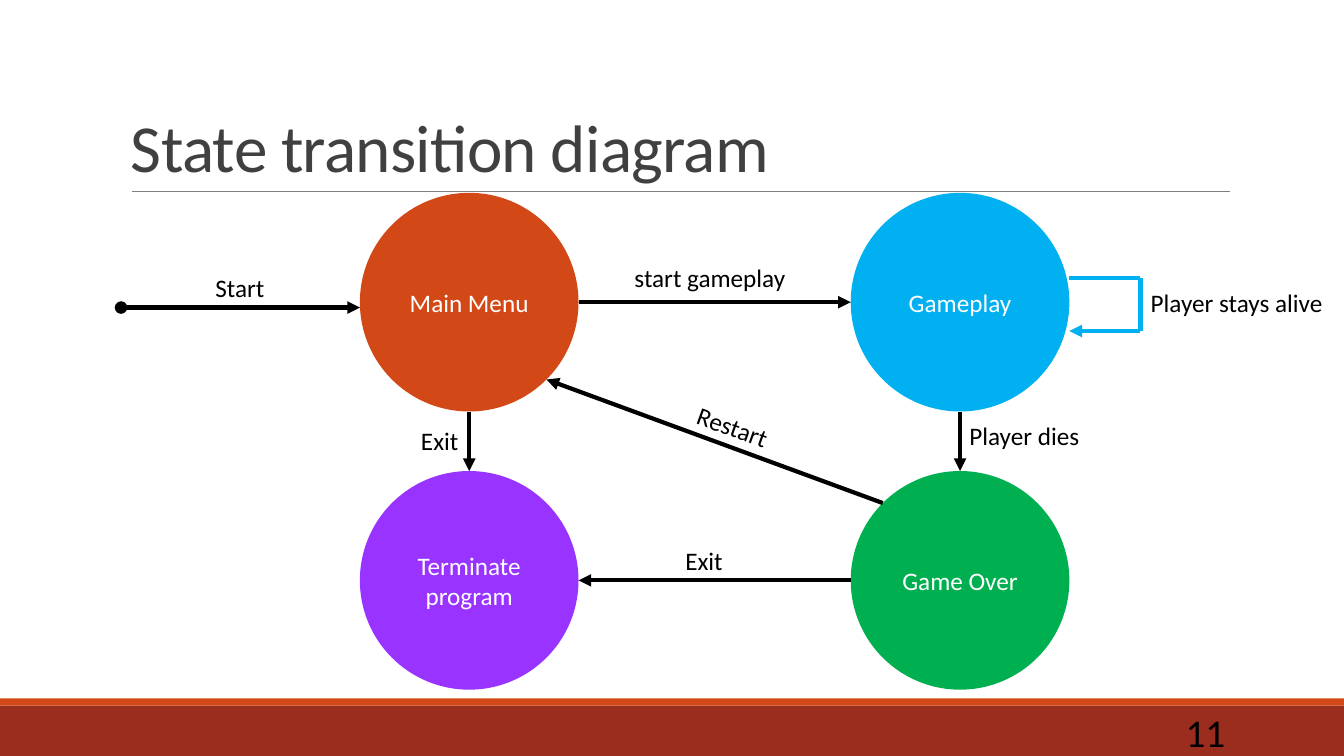
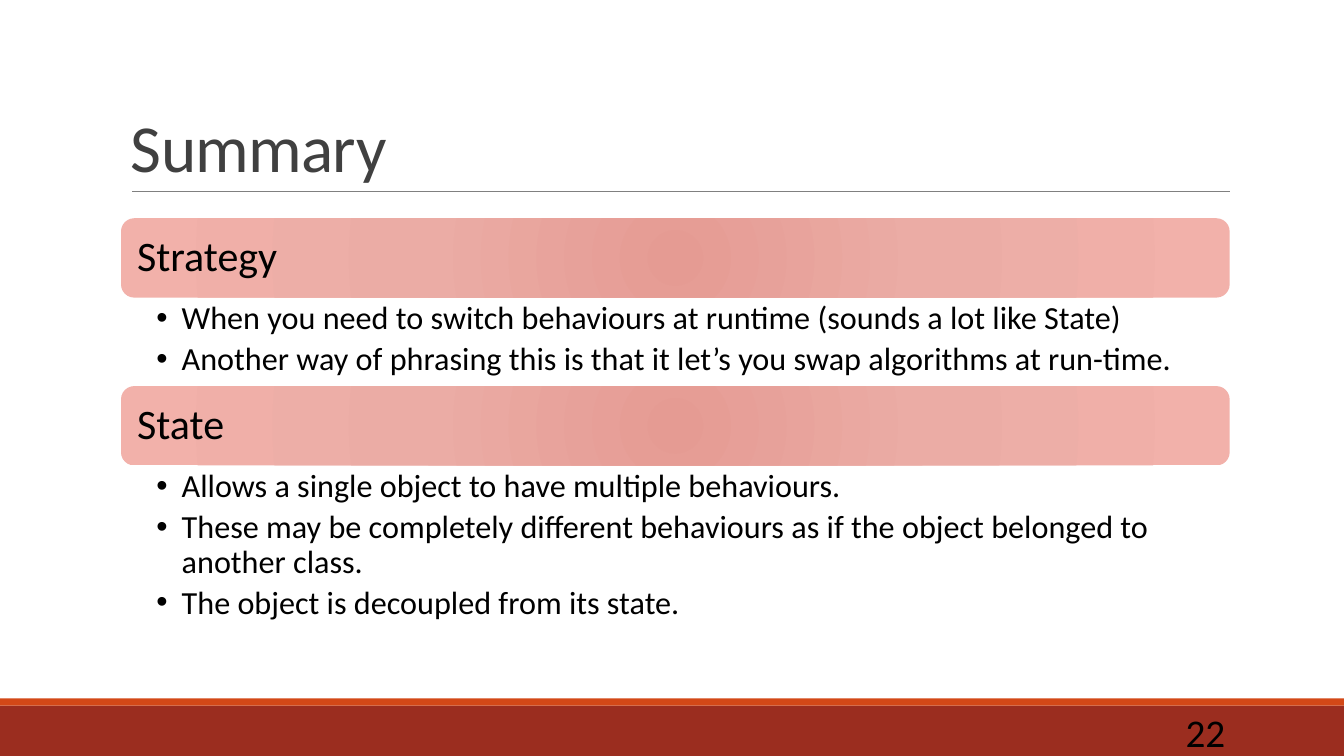
import math
from typing import NamedTuple

from pptx import Presentation
from pptx.dml.color import RGBColor
from pptx.enum.shapes import MSO_CONNECTOR, MSO_SHAPE
from pptx.enum.text import MSO_ANCHOR, MSO_AUTO_SIZE, PP_ALIGN
from pptx.oxml import parse_xml
from pptx.oxml.ns import nsdecls, qn
from pptx.util import Cm, Pt

LEFT, CENTER, RIGHT = PP_ALIGN.LEFT, PP_ALIGN.CENTER, PP_ALIGN.RIGHT
TOP, MIDDLE, BOTTOM = MSO_ANCHOR.TOP, MSO_ANCHOR.MIDDLE, MSO_ANCHOR.BOTTOM
RECTANGLE, ROUNDED, OVAL = MSO_SHAPE.RECTANGLE, MSO_SHAPE.ROUNDED_RECTANGLE, MSO_SHAPE.OVAL
STRAIGHT = MSO_CONNECTOR.STRAIGHT
NO_AUTOFIT = MSO_AUTO_SIZE.NONE

# All positions are in centimetres
SLIDE_WIDTH, SLIDE_HEIGHT = 33.87, 19.05
CONTENT_LEFT, CONTENT_WIDTH = 3.05, 27.94
FONT = "Calibri"
BLACK, WHITE, TITLE_GREY, RULE_GREY = "000000", "FFFFFF", "404040", "808080"
DARK_RED, ORANGE = "9B2D1F", "D34817"
BLUE, GREEN, PURPLE = "00B0F0", "00B050", "9933FF"
HEADING_GRADIENT = ((0, "E59B93"), (45, "EBACA5"), (100, "F2B1AA"))
DEFAULT_INSETS = (0.25, 0.13, 0.25, 0.13)

CIRCLE_SIZE = 5.51
LABEL_HEIGHT = 1.03
HEADING_HEIGHT = 2.0


class Point(NamedTuple):
    x: float
    y: float


class State(NamedTuple):
    name: str
    left: float
    top: float
    color: str

    def edge(self, degrees: float) -> Point:
        """Point on the circle, measured clockwise from the right."""
        radius, angle = CIRCLE_SIZE / 2, math.radians(degrees)
        return Point(self.left + radius * (1 + math.cos(angle)),
                     self.top + radius * (1 + math.sin(angle)))


class Arrow(NamedTuple):
    start: Point
    end: Point
    color: str = BLACK
    head: str = "none"
    tail: str = "triangle"


class Label(NamedTuple):
    text: str
    left: float
    top: float
    width: float
    rotation: float = 0


class Section(NamedTuple):
    heading: str
    points: tuple[str, ...]
    body_height: float


LEFT_COLUMN, RIGHT_COLUMN = 9.07, 21.44
TOP_ROW, BOTTOM_ROW = 4.86, 11.87
MAIN_MENU = State("Main Menu", LEFT_COLUMN, TOP_ROW, ORANGE)
GAMEPLAY = State("Gameplay", RIGHT_COLUMN, TOP_ROW, BLUE)
GAME_OVER = State("Game Over", RIGHT_COLUMN, BOTTOM_ROW, GREEN)
TERMINATE = State("Terminate program", LEFT_COLUMN, BOTTOM_ROW, PURPLE)
STATES = (MAIN_MENU, GAMEPLAY, GAME_OVER, TERMINATE)

LOOP_LEFT, LOOP_RIGHT, LOOP_TOP, LOOP_BOTTOM = 26.95, 28.74, 7.0, 8.34
ARROWS = (
    Arrow(Point(CONTENT_LEFT, 7.75), Point(LEFT_COLUMN, 7.75), head="oval"),
    Arrow(MAIN_MENU.edge(0), GAMEPLAY.edge(180)),
    Arrow(MAIN_MENU.edge(90), TERMINATE.edge(270)),
    Arrow(GAMEPLAY.edge(90), GAME_OVER.edge(270)),
    Arrow(GAME_OVER.edge(180), TERMINATE.edge(0)),
    Arrow(GAME_OVER.edge(225), MAIN_MENU.edge(45)),
    Arrow(Point(LOOP_LEFT, LOOP_TOP), Point(LOOP_RIGHT, LOOP_TOP), BLUE, tail="none"),
    Arrow(Point(LOOP_RIGHT, LOOP_TOP), Point(LOOP_RIGHT, LOOP_BOTTOM), BLUE, tail="none"),
    Arrow(Point(LOOP_RIGHT, LOOP_BOTTOM), Point(LOOP_LEFT, LOOP_BOTTOM), BLUE),
)
LABELS = (
    Label("Start", 5.18, 6.73, 1.75),
    Label("start gameplay", 15.74, 6.49, 4.34),
    Label("Player stays alive", 28.75, 7.11, 4.88),
    Label("Player dies", 24.18, 10.47, 3.3),
    Label("Exit", 17.02, 13.6, 1.47),
    Label("Exit", 10.36, 10.59, 1.47),
    Label("Restart", 17.3, 10.24, 2.36, 19.8),
)
SECTIONS = (
    Section("Strategy", (
        "When you need to switch behaviours at runtime (sounds a lot like State)",
        "Another way of phrasing this is that it let’s you swap algorithms at run-time.",
    ), 2.23),
    Section("State", (
        "Allows a single object to have multiple behaviours.",
        "These may be completely different behaviours as if the object belonged to another class.",
        "The object is decoupled from its state.",
    ), 4.22),
)


def rgb(color: str) -> RGBColor:
    return RGBColor.from_string(color)


def write(shape, *texts: str, size: float = 18, color: str = BLACK, align=LEFT,
          anchor=TOP, wrap: bool = True, insets=DEFAULT_INSETS,
          line_spacing: float = 1, space_after: float = 0,
          bullet: bool = False, tracking: int = 0) -> None:
    """Fill a shape with one paragraph per text; tracking is in 1/100 pt."""
    frame = shape.text_frame
    frame.auto_size = NO_AUTOFIT
    frame.word_wrap = wrap
    frame.vertical_anchor = anchor
    (frame.margin_left, frame.margin_top,
     frame.margin_right, frame.margin_bottom) = map(Cm, insets)
    for index, text in enumerate(texts):
        paragraph = frame.add_paragraph() if index else frame.paragraphs[0]
        paragraph.alignment = align
        paragraph.line_spacing = line_spacing
        paragraph.space_after = Pt(space_after)
        if bullet:
            add_bullet(paragraph)
        run = paragraph.add_run()
        run.text = text
        run.font.name = FONT
        run.font.size = Pt(size)
        run.font.color.rgb = rgb(color)
        if tracking:
            run.font._element.set("spc", str(tracking))


def add_bullet(paragraph) -> None:
    properties = paragraph._p.get_or_add_pPr()
    indent = Cm(0.64)
    properties.set("marL", str(indent))
    properties.set("indent", str(-indent))
    properties.append(parse_xml(f'<a:buFont {nsdecls("a")} typeface="Arial"/>'))
    properties.append(parse_xml(f'<a:buChar {nsdecls("a")} char="•"/>'))


def add_box(slide, kind, left: float, top: float, width: float, height: float, color: str):
    shape = slide.shapes.add_shape(kind, Cm(left), Cm(top), Cm(width), Cm(height))
    shape.shadow.inherit = False
    shape.fill.solid()
    shape.fill.fore_color.rgb = rgb(color)
    shape.line.fill.background()
    return shape


def add_text(slide, left: float, top: float, width: float, height: float,
             *texts: str, **text_format):
    box = slide.shapes.add_textbox(Cm(left), Cm(top), Cm(width), Cm(height))
    write(box, *texts, **text_format)
    return box


def add_line(slide, arrow: Arrow, width: float = 3) -> None:
    connector = slide.shapes.add_connector(
        STRAIGHT, *map(Cm, arrow.start), *map(Cm, arrow.end))
    connector.line.color.rgb = rgb(arrow.color)
    connector.line.width = Pt(width)
    line = connector.get_or_add_ln()
    for tag, end in (("headEnd", arrow.head), ("tailEnd", arrow.tail)):
        if end != "none":
            line.append(parse_xml(f'<a:{tag} {nsdecls("a")} type="{end}"/>'))
    connector._element.spPr.append(parse_xml(f'<a:effectLst {nsdecls("a")}/>'))


def set_radial_gradient(shape, stops) -> None:
    """Replace the solid fill with a gradient spreading from the centre."""
    stop_list = "".join(
        f'<a:gs pos="{position * 1000}"><a:srgbClr val="{color}"/></a:gs>'
        for position, color in stops)
    gradient = parse_xml(
        f'<a:gradFill {nsdecls("a")} rotWithShape="1"><a:gsLst>{stop_list}</a:gsLst>'
        '<a:path path="circle"><a:fillToRect l="50000" t="50000" r="50000" b="50000"/>'
        '</a:path></a:gradFill>')
    properties = shape._element.spPr
    properties.replace(properties.find(qn("a:solidFill")), gradient)


def add_titled_slide(presentation, title: str, number: int):
    """Add a slide with the shared title, rule, footer bands and number."""
    slide = presentation.slides.add_slide(presentation.slide_layouts[5])
    add_box(slide, RECTANGLE, 0, 17.78, SLIDE_WIDTH, SLIDE_HEIGHT - 17.78, DARK_RED)
    add_box(slide, RECTANGLE, 0, 17.6, SLIDE_WIDTH, 0.18, ORANGE)
    add_line(slide, Arrow(Point(3.33, 4.83), Point(31.0, 4.83), RULE_GREY, tail="none"), 0.5)
    placeholder = slide.shapes.title
    placeholder.left, placeholder.top = Cm(CONTENT_LEFT), Cm(0.79)
    placeholder.width, placeholder.height = Cm(CONTENT_WIDTH), Cm(4.03)
    write(placeholder, title, size=48, color=TITLE_GREY, anchor=BOTTOM,
          line_spacing=0.85, tracking=-50)
    add_text(slide, 27.5, 17.94, 3.63, 1.01, str(number), size=28,
             align=RIGHT, anchor=MIDDLE)
    return slide


def add_state_diagram(presentation) -> None:
    slide = add_titled_slide(presentation, "State transition diagram", 11)
    for state in STATES:
        circle = add_box(slide, OVAL, state.left, state.top,
                         CIRCLE_SIZE, CIRCLE_SIZE, state.color)
        write(circle, state.name, color=WHITE, align=CENTER, anchor=MIDDLE)
    for arrow in ARROWS:
        add_line(slide, arrow)
    for label in LABELS:
        box = add_text(slide, label.left, label.top, label.width, LABEL_HEIGHT,
                       label.text, wrap=False)
        box.rotation = label.rotation


def add_summary(presentation) -> None:
    slide = add_titled_slide(presentation, "Summary", 22)
    top = 5.5
    for section in SECTIONS:
        heading = add_box(slide, ROUNDED, CONTENT_LEFT, top,
                          CONTENT_WIDTH, HEADING_HEIGHT, HEADING_GRADIENT[0][1])
        set_radial_gradient(heading, HEADING_GRADIENT)
        write(heading, section.heading, size=30, anchor=MIDDLE,
              insets=(0.31, 0.3, 0.31, 0.3), line_spacing=0.9)
        top += HEADING_HEIGHT
        add_text(slide, CONTENT_LEFT, top, CONTENT_WIDTH, section.body_height,
                 *section.points, size=23, insets=(0.89, 0.1, 0.58, 0.1),
                 line_spacing=0.9, space_after=4.5, bullet=True)
        top += section.body_height


def main() -> None:
    presentation = Presentation()
    presentation.slide_width, presentation.slide_height = Cm(SLIDE_WIDTH), Cm(SLIDE_HEIGHT)
    add_state_diagram(presentation)
    add_summary(presentation)
    presentation.save("out.pptx")


if __name__ == "__main__":
    main()
